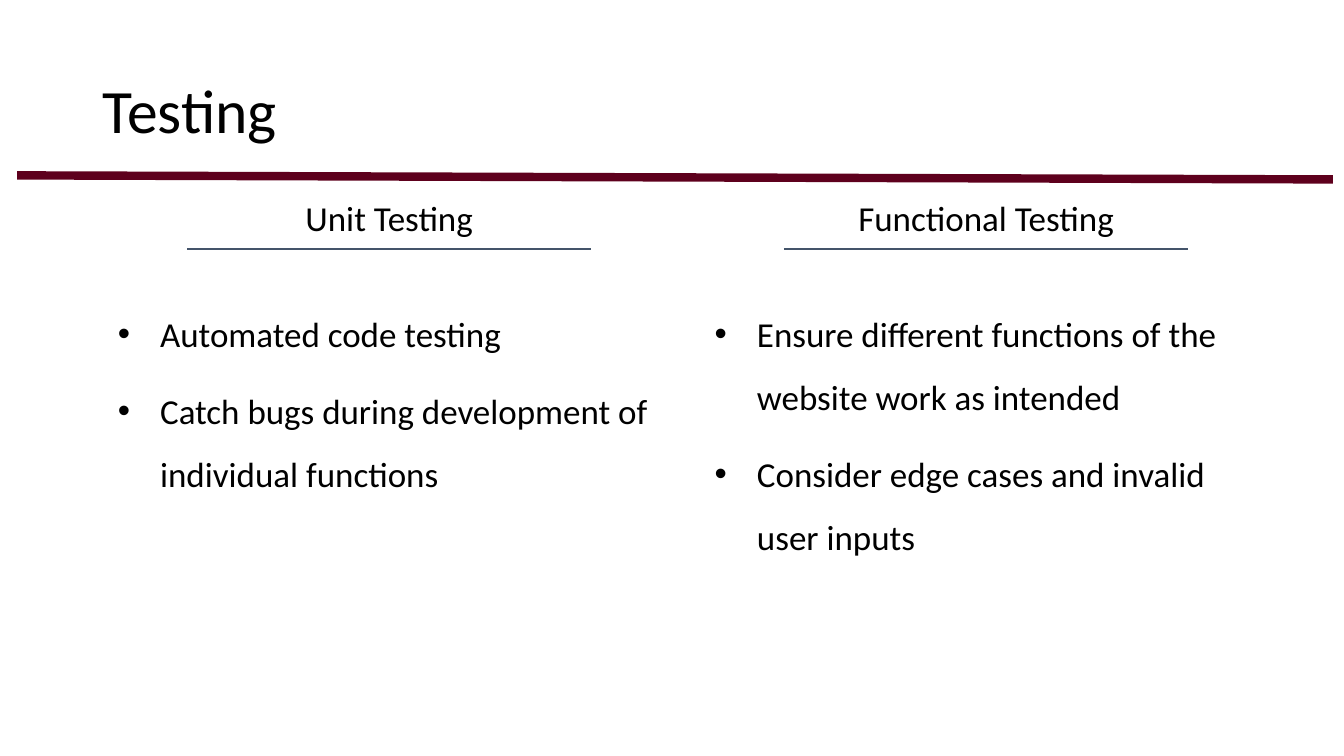
from pptx import Presentation
from pptx.dml.color import RGBColor
from pptx.enum.shapes import MSO_CONNECTOR
from pptx.enum.text import MSO_ANCHOR, PP_ALIGN
from pptx.oxml.ns import qn
from pptx.util import Inches, Pt
from lxml.etree import SubElement

TITLE = "Testing"
COLUMNS = [
    ("Unit Testing", [
        "Automated code testing",
        "Catch bugs during development of individual functions",
    ]),
    ("Functional Testing", [
        "Ensure different functions of the website work as intended",
        "Consider edge cases and invalid user inputs",
    ]),
]

BLACK = RGBColor(0x00, 0x00, 0x00)
MAROON = RGBColor(0x5E, 0x00, 0x1D)
SLATE = RGBColor(0x44, 0x54, 0x6A)
FONT = "Calibri"
TITLE_SIZE, TEXT_SIZE = 44, 25

COLUMN_LEFT, COLUMN_WIDTH, COLUMN_STEP = 0.99, 5.74, 5.92
HEADING_WIDTH, RULE_WIDTH = 4.6, 4.01
HEADING_TOP, HEADING_HEIGHT = 1.85, 0.62
BODY_TOP, BODY_HEIGHT = 2.84, 3.92

deck = Presentation()
deck.slide_width, deck.slide_height = Inches(13.33), Inches(7.5)
slide = deck.slides.add_slide(deck.slide_layouts[6])


def add_text(left, top, width, height, lines, size, margin=0.05,
             anchor=MSO_ANCHOR.TOP, align=PP_ALIGN.LEFT, spacing=1.0, bulleted=False):
    box = slide.shapes.add_textbox(Inches(left), Inches(top), Inches(width), Inches(height))
    frame = box.text_frame
    frame.word_wrap = True
    frame.vertical_anchor = anchor
    frame.margin_top = frame.margin_bottom = Inches(margin)
    for index, line in enumerate(lines):
        paragraph = frame.add_paragraph() if index else frame.paragraphs[0]
        paragraph.alignment = align
        paragraph.line_spacing = spacing
        if index:
            paragraph.space_before = Pt(10)
        if bulleted:
            properties = paragraph._p.get_or_add_pPr()
            properties.set("marL", str(Inches(0.5)))
            properties.set("indent", str(Inches(-0.42)))
            SubElement(properties, qn("a:buFont"), typeface="Arial")
            SubElement(properties, qn("a:buChar"), char="•")
        run = paragraph.add_run()
        run.text = line
        run.font.name = FONT
        run.font.size = Pt(size)
        run.font.color.rgb = BLACK


def add_rule(start, end, color, weight):
    rule = slide.shapes.add_connector(
        MSO_CONNECTOR.STRAIGHT, *(Inches(value) for value in start + end))
    rule.line.color.rgb = color
    rule.line.width = Pt(weight)
    SubElement(rule._element.spPr, qn("a:effectLst"))


add_rule((13.22, 1.78), (0.17, 1.74), MAROON, 6)
add_text(0.92, 0.4, 11.5, 1.45, [TITLE], TITLE_SIZE, anchor=MSO_ANCHOR.MIDDLE, spacing=0.9)

for position, (heading, points) in enumerate(COLUMNS):
    left = COLUMN_LEFT + position * COLUMN_STEP
    center = left + COLUMN_WIDTH / 2
    rule_y = HEADING_TOP + HEADING_HEIGHT
    add_text(left, BODY_TOP, COLUMN_WIDTH, BODY_HEIGHT, points, TEXT_SIZE,
             spacing=1.5, bulleted=True)
    add_text(center - HEADING_WIDTH / 2, HEADING_TOP, HEADING_WIDTH, HEADING_HEIGHT,
             [heading], TEXT_SIZE, margin=0.1, align=PP_ALIGN.CENTER)
    add_rule((center - RULE_WIDTH / 2, rule_y), (center + RULE_WIDTH / 2, rule_y), SLATE, 1.5)

deck.save("out.pptx")
